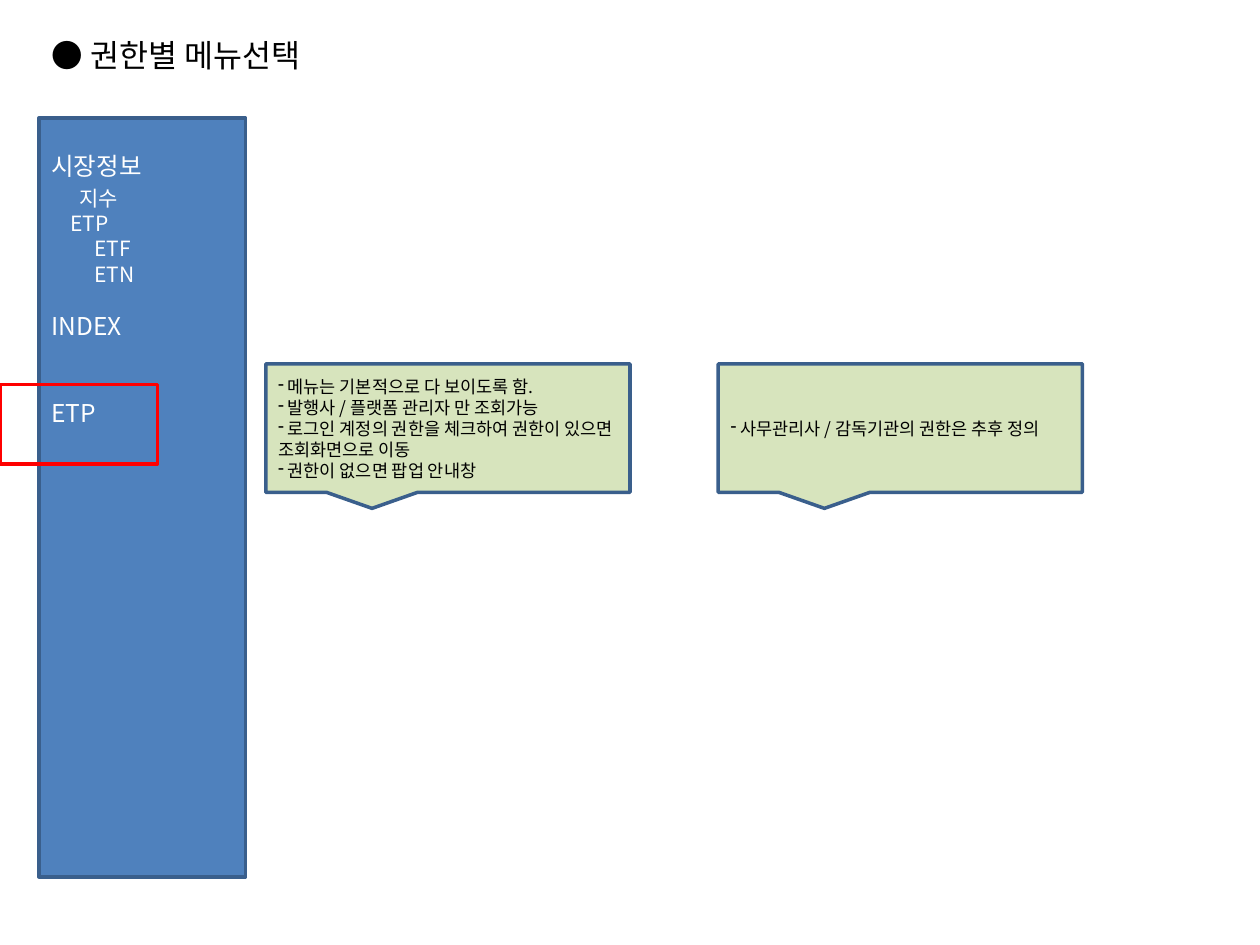
import dataclasses

import lxml.etree
import pptx
import pptx.dml.color
import pptx.enum.shapes
import pptx.enum.text
import pptx.oxml.ns
import pptx.util

SLIDE_WIDTH, SLIDE_HEIGHT = 10, 7.5
SHAPES = pptx.enum.shapes.MSO_SHAPE
ANCHORS = pptx.enum.text.MSO_ANCHOR


@dataclasses.dataclass(frozen=True)
class Theme:
    font: str = "Noto Sans CJK KR"
    dark: str = "000000"
    light: str = "FFFFFF"
    menu_fill: str = "4F81BD"
    note_fill: str = "D7E4BD"
    border: str = "3A5F8C"
    highlight: str = "FF0000"
    title_size: int = 18
    menu_size: int = 14
    submenu_size: int = 12
    note_size: int = 10
    line_width: int = 2
    line_pitch: float = 1.2


THEME = Theme()

# Label, type size, indent in inches, space before in points
MENU = [
    ("시장정보", THEME.menu_size, 0, 0),
    ("지수", THEME.submenu_size, 0.22, 3),
    ("ETP", THEME.submenu_size, 0.15, 0),
    ("ETF", THEME.submenu_size, 0.34, 0),
    ("ETN", THEME.submenu_size, 0.34, 0),
    ("INDEX", THEME.menu_size, 0, 14),
    ("ETP", THEME.menu_size, 0, 33),
]
NOTES = [
    [
        " 메뉴는 기본적으로 다 보이도록 함.",
        " 발행사 / 플랫폼 관리자 만 조회가능",
        " 로그인 계정의 권한을 체크하여 권한이 있으면 조회화면으로 이동",
        " 권한이 없으면 팝업 안내창",
    ],
    [" 사무관리사 / 감독기관의 권한은 추후 정의"],
]


def color(value):
    return pptx.dml.color.RGBColor.from_string(value)


def share_box(left, top, width, height):
    """Turn shares of the slide's size into lengths."""
    sizes = (SLIDE_WIDTH, SLIDE_HEIGHT) * 2
    return [
        pptx.util.Inches(share * size)
        for share, size in zip((left, top, width, height), sizes)
    ]


def add_box(slide, kind, box, fill, line):
    shape = slide.shapes.add_shape(kind, *share_box(*box))
    shape.shadow.inherit = False
    if fill:
        shape.fill.solid()
        shape.fill.fore_color.rgb = color(fill)
    else:
        shape.fill.background()
    shape.line.color.rgb = color(line)
    shape.line.width = pptx.util.Pt(THEME.line_width)
    shape.text_frame.word_wrap = True
    return shape


def write_paragraph(paragraph, text, size, text_color):
    paragraph.alignment = pptx.enum.text.PP_ALIGN.LEFT
    paragraph.line_spacing = pptx.util.Pt(size * THEME.line_pitch)
    run = paragraph.add_run()
    run.text = text
    run.font.size = pptx.util.Pt(size)
    run.font.name = THEME.font
    run.font.color.rgb = color(text_color)
    east_asian = lxml.etree.SubElement(
        run.font._element, pptx.oxml.ns.qn("a:ea")
    )
    east_asian.set("typeface", THEME.font)


def paragraphs_for(text_frame, items):
    """Pair each item with a paragraph, starting at the one already there."""
    for index, item in enumerate(items):
        first = index == 0
        yield (text_frame.paragraphs[0] if first else text_frame.add_paragraph()), item


def set_bullet(paragraph, character):
    properties = paragraph._p.get_or_add_pPr()
    bullet = lxml.etree.SubElement(properties, pptx.oxml.ns.qn("a:buChar"))
    bullet.set("char", character)


def format_title(slide, text):
    title = slide.shapes.title
    title.left, title.top, title.width, title.height = share_box(
        0.031, 0.031, 0.453, 0.053
    )
    frame = title.text_frame
    frame.vertical_anchor = ANCHORS.TOP
    frame.auto_size = pptx.enum.text.MSO_AUTO_SIZE.NONE
    write_paragraph(frame.paragraphs[0], text, THEME.title_size, THEME.dark)


def add_menu(slide):
    menu = add_box(
        slide, SHAPES.RECTANGLE, (0.031, 0.125, 0.164, 0.803),
        THEME.menu_fill, THEME.border,
    )
    frame = menu.text_frame
    frame.vertical_anchor = ANCHORS.TOP
    frame.margin_top = pptx.util.Inches(0.26)
    for paragraph, (label, size, indent, gap) in paragraphs_for(frame, MENU):
        write_paragraph(paragraph, label, size, THEME.light)
        paragraph.space_before = pptx.util.Pt(gap)
        paragraph._p.get_or_add_pPr().set("marL", str(pptx.util.Inches(indent)))


def add_note(slide, left, lines):
    note = add_box(
        slide, SHAPES.RECTANGULAR_CALLOUT, (left, 0.385, 0.289, 0.136),
        THEME.note_fill, THEME.border,
    )
    note.text_frame.vertical_anchor = ANCHORS.MIDDLE
    for paragraph, line in paragraphs_for(note.text_frame, lines):
        write_paragraph(paragraph, line, THEME.note_size, THEME.dark)
        set_bullet(paragraph, "-")


def main():
    presentation = pptx.Presentation()
    presentation.slide_width = pptx.util.Inches(SLIDE_WIDTH)
    presentation.slide_height = pptx.util.Inches(SLIDE_HEIGHT)
    slide = presentation.slides.add_slide(presentation.slide_layouts[5])
    format_title(slide, "● 권한별 메뉴선택")
    add_menu(slide)
    add_box(
        slide, SHAPES.RECTANGLE, (0, 0.407, 0.125, 0.084), None, THEME.highlight
    )
    for column, lines in enumerate(NOTES):
        add_note(slide, 0.211 + column * 0.359, lines)
    presentation.save("out.pptx")


if __name__ == "__main__":
    main()
